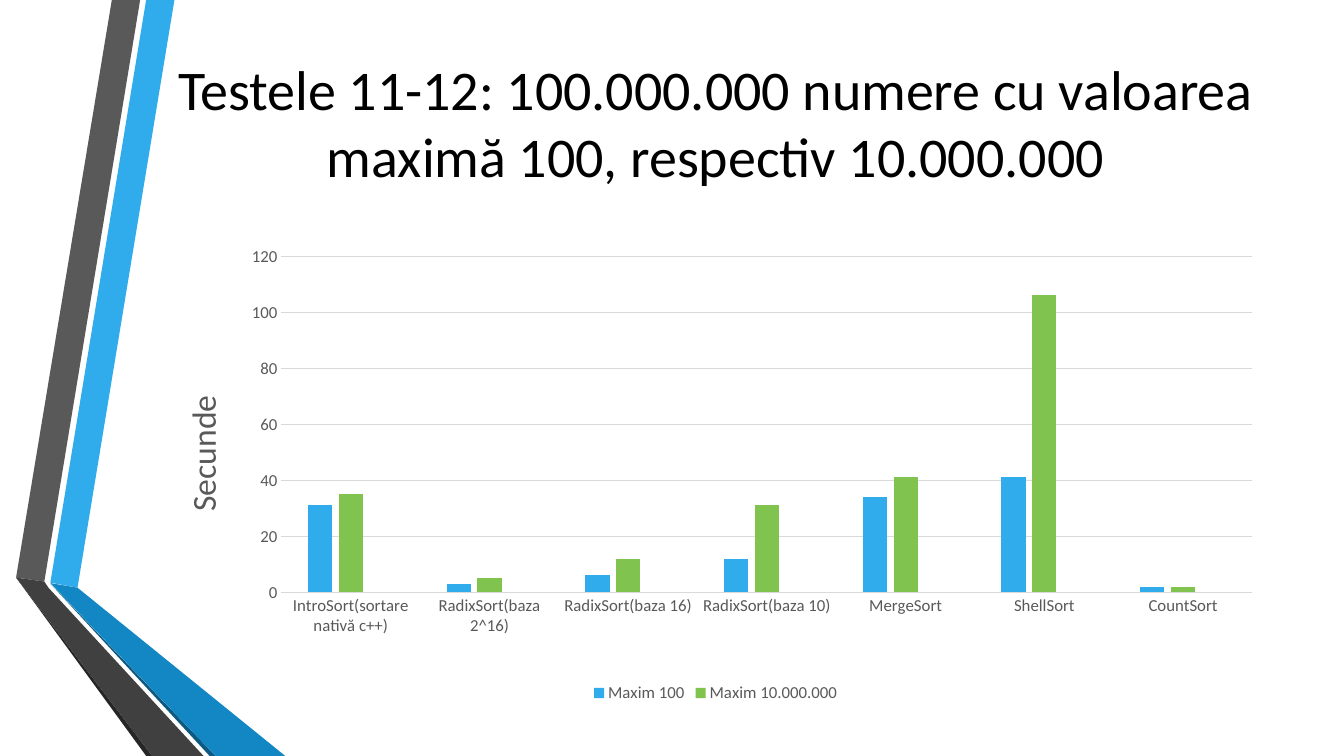
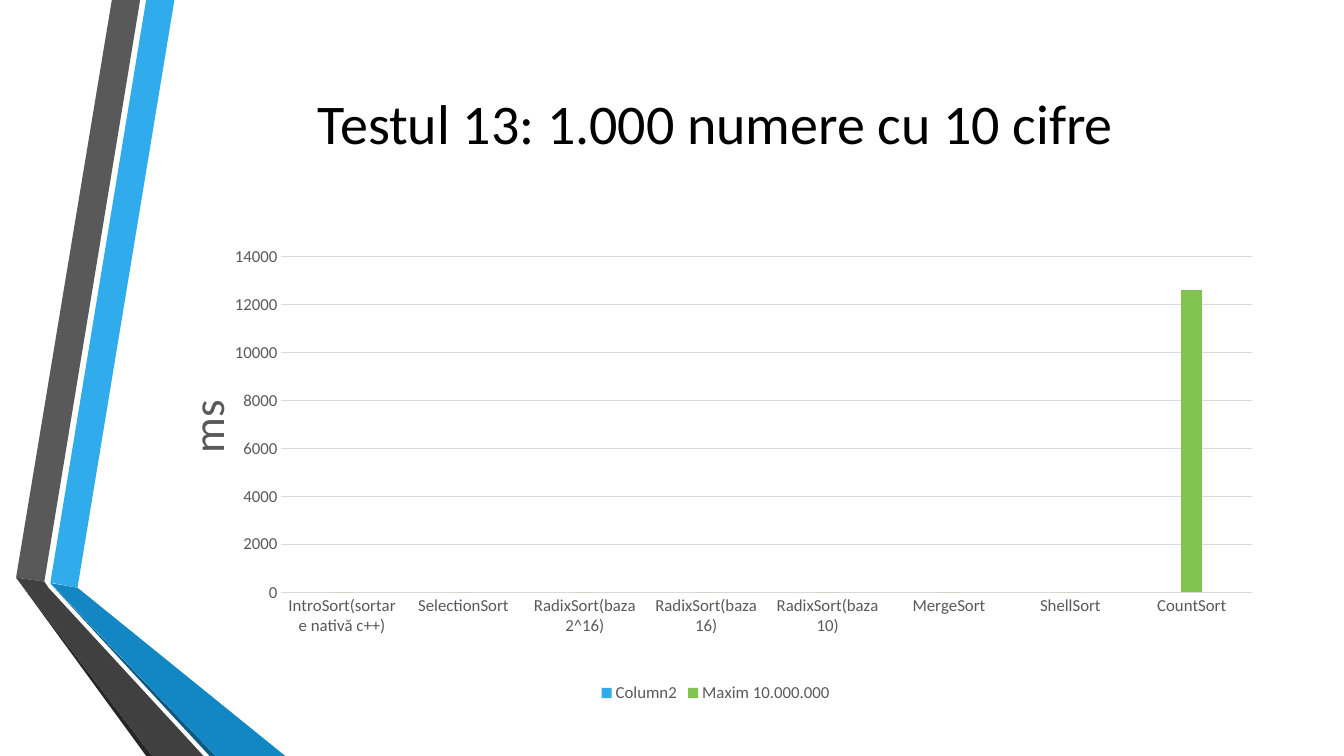
from dataclasses import dataclass

from lxml import etree
from pptx import Presentation
from pptx.chart.axis import ValueAxis
from pptx.chart.chart import Chart
from pptx.chart.data import CategoryChartData
from pptx.dml.color import RGBColor
from pptx.enum.chart import XL_CHART_TYPE, XL_LEGEND_POSITION, XL_TICK_MARK
from pptx.enum.text import MSO_ANCHOR, PP_ALIGN
from pptx.oxml.ns import qn
from pptx.slide import Slide
from pptx.text.text import Font
from pptx.util import Pt

CLUSTERED = XL_CHART_TYPE.COLUMN_CLUSTERED
LEGEND_BOTTOM = XL_LEGEND_POSITION.BOTTOM
NO_TICK = XL_TICK_MARK.NONE
MIDDLE = MSO_ANCHOR.MIDDLE
CENTER = PP_ALIGN.CENTER

BLACK = RGBColor(0x00, 0x00, 0x00)
CHART_TEXT = RGBColor(0x59, 0x59, 0x59)
GRID = RGBColor(0xD9, 0xD9, 0xD9)
BLUE = RGBColor(0x30, 0xAC, 0xEC)
BLUE_FOLD = RGBColor(0x12, 0x87, 0xC3)
BLUE_SHADE = RGBColor(0x0C, 0x5A, 0x82)
GRAY = RGBColor(0x59, 0x59, 0x59)
GRAY_FOLD = RGBColor(0x40, 0x40, 0x40)
GRAY_SHADE = RGBColor(0x26, 0x26, 0x26)
GREEN = RGBColor(0x80, 0xC3, 0x4F)
ORANGE = RGBColor(0xE2, 0x9D, 0x3E)
SERIES_COLORS = (BLUE, GREEN, ORANGE)

FONT = "Calibri"
SLIDE_WIDTH, SLIDE_HEIGHT = 960, 540
CONTENT_LEFT, CONTENT_WIDTH = 116.6, 789.1
TITLE_TOP, TITLE_HEIGHT = 35.3, 103.7
CHART_TOP, CHART_HEIGHT = 139.2, 365.8


@dataclass(frozen=True)
class Band:
    color: RGBColor
    points: tuple[tuple[float, float], ...]


@dataclass(frozen=True)
class Series:
    name: str
    values: tuple[int | None, ...]


@dataclass(frozen=True)
class ChartSlide:
    title: str
    axis_title: str
    axis_title_size: int
    axis_title_position: tuple[float, float]
    maximum: int
    step: int
    categories: tuple[str, ...]
    series: tuple[Series, ...]


BANDS = (
    Band(BLUE, ((36, 416.2), (55.4, 419.8), (124.6, 0), (104.4, 0))),
    Band(GRAY, ((100.1, 0), (79.9, 0), (11.5, 412.6), (31.7, 415.4))),
    Band(GRAY_SHADE, ((11.5, 412.6), (104.4, 540), (108.7, 540))),
    Band(BLUE_SHADE, ((36, 416.9), (149.8, 540), (154.1, 540))),
    Band(BLUE_FOLD, ((36, 416.5), (154.1, 540), (203.8, 540), (55.4, 419.8))),
    Band(GRAY_FOLD, ((145.4, 540), (34.6, 419.8), (31.7, 415.4),
                     (11.5, 412.6), (108.7, 540))),
)

INTRO = "IntroSort(sortare nativă c++)"
RADIX = tuple(f"RadixSort(baza {base})" for base in ("2^16", "16", "10"))
OTHERS = ("MergeSort", "ShellSort", "CountSort")

SLIDES = (
    ChartSlide(
        "Testele 11-12: 100.000.000 numere cu valoarea maximă 100, "
        "respectiv 10.000.000",
        "Secunde", 24, (0.01, 0.38), 120, 20,
        (INTRO, *RADIX, *OTHERS),
        (
            Series("Maxim 100", (31, 3, 6, 12, 34, 41, 2)),
            Series("Maxim 10.000.000", (35, 5, 12, 31, 41, 106, 2)),
            Series("Series 3", (None,) * 7),
        ),
    ),
    ChartSlide(
        "Testul 13: 1.000 numere cu 10 cifre",
        "ms", 32, (0.004, 0.385), 14000, 2000,
        (INTRO, "SelectionSort", *RADIX, *OTHERS),
        (
            Series("Column2", (None,) * 8),
            Series("Maxim 10.000.000", (0,) * 7 + (12600,)),
            Series("Series 3", (None,) * 8),
        ),
    ),
)


def style_font(font: Font, size: float, color: RGBColor) -> None:
    font.name = FONT
    font.size = Pt(size)
    font.bold = False
    font.color.rgb = color


def draw_band(slide: Slide, band: Band) -> None:
    corners = [(Pt(x), Pt(y)) for x, y in band.points]
    builder = slide.shapes.build_freeform(*corners[0])
    builder.add_line_segments(corners[1:], close=True)
    shape = builder.convert_to_shape()
    shape.shadow.inherit = False
    shape.fill.solid()
    shape.fill.fore_color.rgb = band.color
    shape.line.fill.background()


def draw_title(slide: Slide, text: str) -> None:
    box = slide.shapes.add_textbox(Pt(CONTENT_LEFT), Pt(TITLE_TOP),
                                   Pt(CONTENT_WIDTH), Pt(TITLE_HEIGHT))
    frame = box.text_frame
    frame.word_wrap = True
    frame.vertical_anchor = MIDDLE
    paragraph = frame.paragraphs[0]
    paragraph.text = text
    paragraph.alignment = CENTER
    style_font(paragraph.font, 40, BLACK)


def set_layout(parent: etree._Element, index: int,
               settings: dict[str, str | float]) -> None:
    for old_layout in parent.findall(qn("c:layout")):
        parent.remove(old_layout)
    layout = etree.Element(qn("c:layout"))
    parent.insert(index, layout)
    manual = etree.SubElement(layout, qn("c:manualLayout"))
    for name, value in settings.items():
        etree.SubElement(manual, qn(f"c:{name}"), val=str(value))


def style_value_axis(axis: ValueAxis, content: ChartSlide) -> None:
    axis.minimum_scale = 0
    axis.maximum_scale = content.maximum
    axis.major_unit = content.step
    axis.format.line.fill.background()
    grid_line = axis.major_gridlines.format.line
    grid_line.color.rgb = GRID
    grid_line.width = Pt(0.75)
    paragraph = axis.axis_title.text_frame.paragraphs[0]
    paragraph.text = content.axis_title
    style_font(paragraph.font, content.axis_title_size, CHART_TEXT)


def place_chart_parts(chart: Chart, content: ChartSlide) -> None:
    root = chart.element
    plot_area = root.find(f".//{qn('c:plotArea')}")
    set_layout(plot_area, 0, {
        "layoutTarget": "inner", "xMode": "edge", "yMode": "edge",
        "x": 0.107, "y": 0.12, "w": 0.879, "h": 0.656,
    })
    axis_title = root.find(f".//{qn('c:valAx')}/{qn('c:title')}")
    left, top = content.axis_title_position
    set_layout(axis_title, 1,
               {"xMode": "edge", "yMode": "edge", "x": left, "y": top})
    body = axis_title.find(f".//{qn('a:bodyPr')}")
    body.set("rot", "-5400000")
    body.set("vert", "horz")
    entry = etree.Element(qn("c:legendEntry"))
    etree.SubElement(entry, qn("c:idx"), val="2")
    etree.SubElement(entry, qn("c:delete"), val="1")
    root.find(f".//{qn('c:legendPos')}").addnext(entry)


def draw_chart(slide: Slide, content: ChartSlide) -> None:
    data = CategoryChartData()
    data.categories = content.categories
    for series in content.series:
        data.add_series(series.name, series.values)
    chart = slide.shapes.add_chart(
        CLUSTERED, Pt(CONTENT_LEFT), Pt(CHART_TOP),
        Pt(CONTENT_WIDTH), Pt(CHART_HEIGHT), data).chart
    chart.has_title = False
    style_font(chart.font, 10, BLACK)

    plot = chart.plots[0]
    plot.gap_width = 219
    plot.overlap = -27
    plot.vary_by_categories = False
    for series, color in zip(plot.series, SERIES_COLORS):
        series.format.fill.solid()
        series.format.fill.fore_color.rgb = color

    for axis in (chart.category_axis, chart.value_axis):
        axis.major_tick_mark = NO_TICK
        axis.minor_tick_mark = NO_TICK
        style_font(axis.tick_labels.font, 12, CHART_TEXT)
    category_line = chart.category_axis.format.line
    category_line.color.rgb = GRID
    category_line.width = Pt(0.75)
    style_value_axis(chart.value_axis, content)

    chart.has_legend = True
    chart.legend.position = LEGEND_BOTTOM
    chart.legend.include_in_layout = False
    style_font(chart.legend.font, 12, CHART_TEXT)
    place_chart_parts(chart, content)


def main() -> None:
    presentation = Presentation()
    presentation.slide_width = Pt(SLIDE_WIDTH)
    presentation.slide_height = Pt(SLIDE_HEIGHT)
    blank_layout = presentation.slide_layouts[6]
    for content in SLIDES:
        slide = presentation.slides.add_slide(blank_layout)
        for band in BANDS:
            draw_band(slide, band)
        draw_title(slide, content.title)
        draw_chart(slide, content)
    presentation.save("out.pptx")


main()
